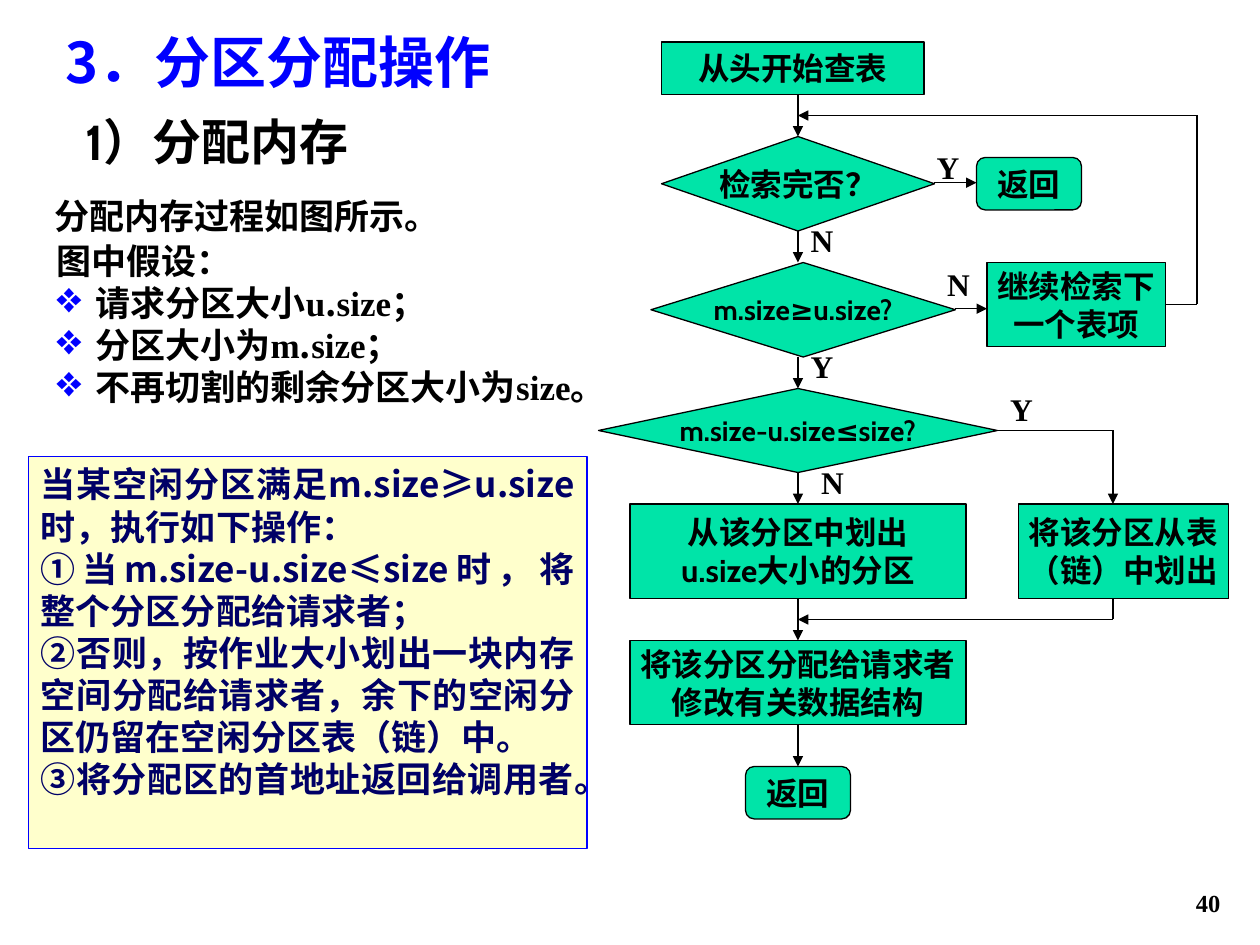
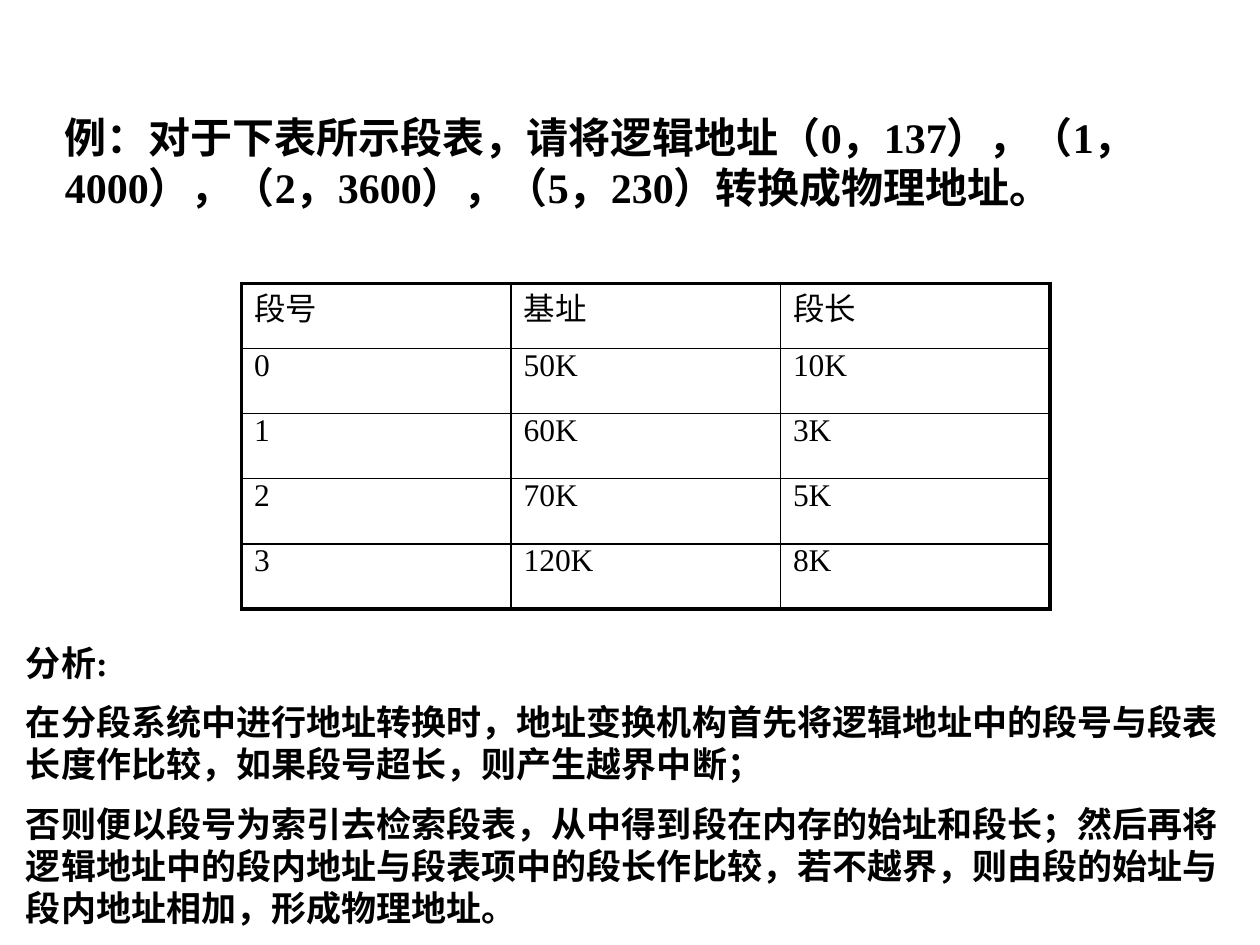
"""Builds two slides on memory allocation: a partition flowchart and a segment table example."""
from dataclasses import dataclass

from lxml import etree
from pptx import Presentation
from pptx.dml.color import RGBColor
from pptx.enum.lang import MSO_LANGUAGE_ID
from pptx.enum.shapes import MSO_CONNECTOR, MSO_SHAPE
from pptx.enum.text import MSO_ANCHOR, MSO_AUTO_SIZE, PP_ALIGN
from pptx.oxml.ns import qn
from pptx.util import Pt

LEFT, RIGHT, CENTER, JUSTIFY = PP_ALIGN.LEFT, PP_ALIGN.RIGHT, PP_ALIGN.CENTER, PP_ALIGN.JUSTIFY
TOP, MIDDLE, BOTTOM = MSO_ANCHOR.TOP, MSO_ANCHOR.MIDDLE, MSO_ANCHOR.BOTTOM
RECT, STEP = MSO_SHAPE.RECTANGLE, MSO_SHAPE.FLOWCHART_PROCESS
TEST, END = MSO_SHAPE.FLOWCHART_DECISION, MSO_SHAPE.FLOWCHART_ALTERNATE_PROCESS
STRAIGHT = MSO_CONNECTOR.STRAIGHT
NO_FIT = MSO_AUTO_SIZE.NONE
CHINESE = MSO_LANGUAGE_ID.SIMPLIFIED_CHINESE
PX = 7620


@dataclass(frozen=True)
class Theme:
    ink: str = "000000"
    blue: str = "0000FF"
    navy: str = "000066"
    cream: str = "FFFFCC"
    green: str = "00E4A8"
    sans: str = "Noto Sans CJK SC"
    serif: str = "Times New Roman"
    chart: str = "Cabin"
    title: int = 32
    head: int = 28
    ask: int = 24
    body: int = 20
    flow: int = 18
    test: int = 16
    page: int = 14
    leading: float = 1.2
    line: float = 0.75
    thin: float = 1
    thick: float = 2.25


theme = Theme()


def write(frame, paras, size, font, color=theme.ink, bold=True, align=LEFT, gap=0, tight=True):
    """Fill a frame; a paragraph is a string or a list of (text, font) runs."""
    for i, runs in enumerate(paras):
        para = frame.paragraphs[0] if i == 0 else frame.add_paragraph()
        para.alignment = align
        para.line_spacing = Pt(size * theme.leading) if tight else 1.0
        para.space_before = Pt(gap if i else 0)
        for text, face in [(runs, font)] if isinstance(runs, str) else runs:
            run = para.add_run()
            run.text = text
            run.font.size = Pt(size)
            run.font.bold = bold
            run.font.color.rgb = RGBColor.from_string(color)
            run.font.name = face
            run.font.language_id = CHINESE
            etree.SubElement(run._r.get_or_add_rPr(), qn("a:ea"), typeface=theme.sans)


def place(slide, area, kind=None, fill=None, edge=theme.ink, anchor=TOP, wrap=True):
    """Add a text box, or a filled shape when a kind is given, and return its frame."""
    spot = [n * PX for n in area]
    if kind is None:
        shape = slide.shapes.add_textbox(*spot)
    else:
        shape = slide.shapes.add_shape(kind, *spot)
        shape.shadow.inherit = False
        shape.fill.solid()
        shape.fill.fore_color.rgb = RGBColor.from_string(fill)
        shape.line.color.rgb = RGBColor.from_string(edge)
        shape.line.width = Pt(theme.line)
    frame = shape.text_frame
    frame.word_wrap = wrap
    frame.vertical_anchor = anchor
    return frame


deck = Presentation()
deck.slide_width, deck.slide_height = 1200 * PX, 900 * PX
titled, blank = deck.slide_layouts[5], deck.slide_layouts[6]

slide = deck.slides.add_slide(titled)
title = slide.shapes.title
title.left, title.top, title.width, title.height = [n * PX for n in (50, 20, 540, 76)]
title.text_frame.auto_size = NO_FIT
title.text_frame.vertical_anchor = TOP
write(title.text_frame, ["3．分区分配操作"], theme.title, theme.sans, theme.blue)
write(place(slide, (924, 820, 250, 60), anchor=BOTTOM), ["40"], theme.page, theme.serif, align=RIGHT)
write(place(slide, (70, 100, 400, 68)), [[("1", theme.chart), ("）分配内存", theme.sans)]],
      theme.head, theme.sans)

rules = [
    "当某空闲分区满足m.size≥u.size时，执行如下操作：",
    "①当m.size-u.size≤size时，将整个分区分配给请求者；",
    "②否则，按作业大小划出一块内存空间分配给请求者，余下的空闲分区仍留在空闲分区表（链）中。",
    "③将分配区的首地址返回给调用者。",
]
write(place(slide, (27, 435, 532, 373), RECT, theme.cream, theme.blue), rules,
      theme.body, theme.sans, theme.navy, align=JUSTIFY)

steps = [
    (STEP, (630, 40, 250, 50), ["从头开始查表"]),
    (TEST, (630, 130, 260, 90), ["检索完否？"]),
    (TEST, (620, 250, 290, 90), ["m.size≥u.size?"]),
    (TEST, (570, 370, 380, 80), ["m.size-u.size≤size?"]),
    (STEP, (600, 480, 320, 90), ["从该分区中划出", "u.size大小的分区"]),
    (STEP, (600, 610, 320, 80), ["将该分区分配给请求者", "修改有关数据结构"]),
    (END, (710, 730, 100, 50), ["返回"]),
    (END, (930, 150, 100, 50), ["返回"]),
    (STEP, (940, 250, 170, 80), ["继续检索下", "一个表项"]),
    (STEP, (970, 480, 200, 90), ["将该分区从表", "（链）中划出"]),
]
for kind, area, lines in steps:
    size = theme.test if lines[0].startswith("m.") else theme.flow
    frame = place(slide, area, kind, theme.green, anchor=MIDDLE, wrap=False)
    write(frame, lines, size, theme.chart, align=CENTER)

trunk = 760
drops = [(90, 130), (220, 250), (340, 370), (450, 480), (570, 610), (690, 730)]
routes = [[(trunk, a), (trunk, b)] for a, b in drops] + [
    [(890, 174), (930, 174)],
    [(910, 294), (940, 294)],
    [(950, 410), (1060, 410), (1060, 480)],
    [(1060, 570), (1060, 590), (trunk, 590)],
    [(1110, 290), (1140, 290), (1140, 110), (trunk, 110)],
]
for route in routes:
    for start, stop in zip(route, route[1:]):
        link = slide.shapes.add_connector(STRAIGHT, *[n * PX for n in start + stop])
        link.line.color.rgb = RGBColor.from_string(theme.ink)
        link.line.width = Pt(theme.line)
        if stop == route[-1]:
            etree.SubElement(link.line._get_or_add_ln(), qn("a:tailEnd"), type="triangle")
        etree.SubElement(link._element.spPr, qn("a:effectLst"))

marks = [("N", 780, 440), ("Y", 890, 140), ("Y", 960, 370),
         ("Y", 770, 330), ("N", 770, 210), ("N", 900, 251)]
for mark, x, y in marks:
    frame = place(slide, (x, y, 30, 38))
    frame.margin_left = frame.margin_right = 2 * PX
    frame.margin_top = frame.margin_bottom = PX
    write(frame, [mark], theme.flow, theme.serif)

write(place(slide, (40, 179, 526, 52)), ["分配内存过程如图所示。"], theme.body, theme.serif)
dot = (".", theme.sans)
given = [
    "图中假设：",
    [("请求分区大小u", theme.serif), dot, ("size；", theme.serif)],
    [("分区大小为m", theme.serif), dot, ("size；", theme.serif)],
    "不再切割的剩余分区大小为size。",
]
frame = place(slide, (42, 222, 596, 172))
write(frame, given, theme.body, theme.serif)
for para in frame.paragraphs[1:]:
    props = para._p.get_or_add_pPr()
    props.set("marL", str(37 * PX))
    props.set("indent", str(-37 * PX))
    tint = etree.SubElement(props, qn("a:buClr"))
    etree.SubElement(tint, qn("a:srgbClr"), val=theme.blue)
    etree.SubElement(props, qn("a:buSzPct"), val="125000")
    etree.SubElement(props, qn("a:buChar"), char="❖")

slide = deck.slides.add_slide(blank)
ask = "例：对于下表所示段表，请将逻辑地址（0，137），（1，4000），（2，3600），（5，230）转换成物理地址。"
write(place(slide, (50, 100, 1100, 108)), [ask], theme.ask, theme.serif)

rows = [
    ("段号", "基址", "段长"),
    ("0", "50K", "10K"),
    ("1", "60K", "3K"),
    ("2", "70K", "5K"),
    ("3", "120K", "8K"),
]
table = slide.shapes.add_table(5, 3, 230 * PX, 270 * PX, 770 * PX, 310 * PX).table
table.first_row = table.horz_banding = False
for r, row in enumerate(rows):
    for c, text in enumerate(row):
        cell = table.cell(r, c)
        cell.margin_top = cell.margin_bottom = 0
        write(cell.text_frame, [text], theme.flow, theme.serif, bold=False, tight=False)
        props = cell._tc.get_or_add_tcPr()
        sides = {"L": c == 0, "R": c == 2, "T": r == 0, "B": r == 4}
        for side, outer in sides.items():
            width = Pt(theme.thick if outer else theme.thin)
            rule = etree.SubElement(props, qn(f"a:ln{side}"), w=str(width))
            paint = etree.SubElement(rule, qn("a:solidFill"))
            etree.SubElement(paint, qn("a:srgbClr"), val=theme.ink)
        cell.fill.background()

notes = [
    "分析:",
    "在分段系统中进行地址转换时，地址变换机构首先将逻辑地址中的段号与段表长度作比较，如果段号超长，则产生越界中断；",
    "否则便以段号为索引去检索段表，从中得到段在内存的始址和段长；然后再将逻辑地址中的段内地址与段表项中的段长作比较，"
    "若不越界，则由段的始址与段内地址相加，形成物理地址。",
]
write(place(slide, (13, 605, 1188, 295)), notes, theme.body, theme.serif, gap=theme.body / 2)

deck.save("out.pptx")
